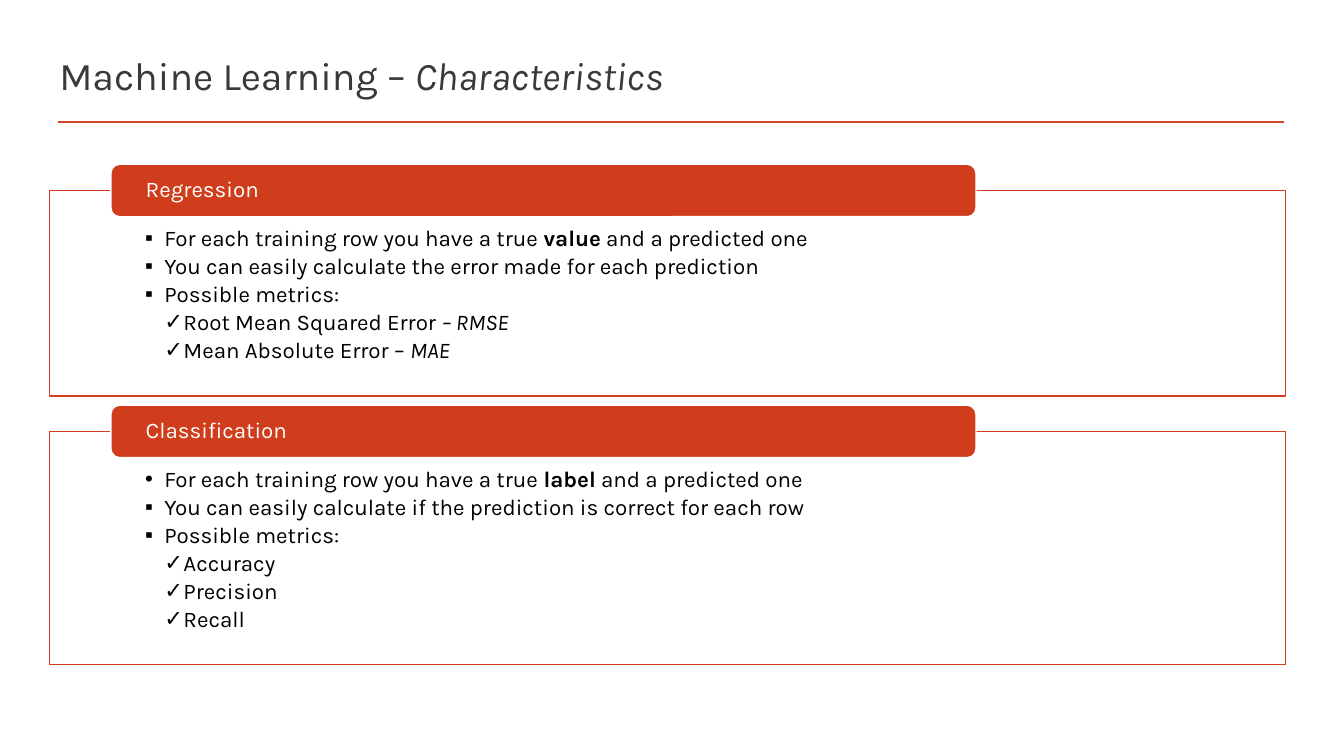
from dataclasses import dataclass

from lxml import etree
from pptx import Presentation
from pptx import util as u
from pptx.dml.color import RGBColor
from pptx.enum import shapes, text
from pptx.oxml import ns

FONT = "Karla"
RED = "CF3D1C"
WHITE = "FFFFFF"
LEFT, WIDTH = 0.49, 12.26
INDENT = 0.19


@dataclass(frozen=True)
class Span:
    words: str
    bold: bool = False
    italic: bool = False


@dataclass(frozen=True)
class Item:
    spans: tuple[Span, ...]
    level: int = 1
    bullet: str = "▪"


@dataclass(frozen=True)
class Section:
    heading: str
    top: float
    height: float
    items: tuple[Item, ...]


def check(*spans: Span) -> Item:
    return Item(spans, 2, "✓")


SECTIONS = (
    Section("Regression", 1.89, 2.04, (
        Item((Span("For each training row you have a true "), Span("value", bold=True),
              Span(" and a predicted one"))),
        Item((Span("You can easily calculate the error made for each prediction"),)),
        Item((Span("Possible metrics:"),)),
        check(Span("Root Mean Squared Error "), Span("– RMSE", italic=True)),
        check(Span("Mean Absolute Error – "), Span("MAE", italic=True)),
    )),
    Section("Classification", 4.28, 2.31, (
        Item((Span("For each training row you have a true "), Span("label", bold=True),
              Span(" and a predicted one")), bullet="•"),
        Item((Span("You can easily calculate if the prediction is correct for each row"),)),
        Item((Span("Possible metrics:"),)),
        check(Span("Accuracy")),
        check(Span("Precision")),
        check(Span("Recall")),
    )),
)


def color(value: str) -> RGBColor:
    return RGBColor.from_string(value)


def write(para, spans: tuple[Span, ...], size: int, ink: str) -> None:
    para.alignment = text.PP_ALIGN.LEFT
    para.line_spacing = 0.9
    para.font.name = FONT
    para.font.size = u.Pt(size)
    para.font.color.rgb = color(ink)
    for part in spans:
        span = para.add_run()
        span.text = part.words
        if part.bold:
            span.font.bold = True
        if part.italic:
            span.font.italic = True


def set_frame(frame, anchor, side: float, top: float = 0, bottom: float = 0) -> None:
    frame.word_wrap = True
    frame.vertical_anchor = anchor
    frame.margin_left = frame.margin_right = u.Inches(side)
    frame.margin_top = u.Inches(top)
    frame.margin_bottom = u.Inches(bottom)


def add_box(page, kind, left: float, top: float, width: float, height: float,
            fill: str, line: str):
    box = page.shapes.add_shape(kind, *map(u.Inches, (left, top, width, height)))
    box.shadow.inherit = False
    box.fill.solid()
    box.fill.fore_color.rgb = color(fill)
    box.line.color.rgb = color(line)
    box.line.width = u.Pt(1)
    return box


def add_bullet(para, item: Item) -> None:
    props = para._p.get_or_add_pPr()
    props.set("marL", str(u.Inches(INDENT * item.level)))
    props.set("indent", str(u.Inches(-INDENT)))
    etree.SubElement(props, ns.qn("a:buFont"), typeface="Arial")
    etree.SubElement(props, ns.qn("a:buChar"), char=item.bullet)


def add_title(page) -> None:
    box = page.shapes.add_textbox(*map(u.Inches, (LEFT, 0.47, WIDTH, 0.61)))
    set_frame(box.text_frame, text.MSO_ANCHOR.MIDDLE, 0.1)
    spans = (Span("Machine Learning – "), Span("Characteristics", italic=True))
    write(box.text_frame.paragraphs[0], spans, 28, "3B3838")

    rule = page.shapes.add_connector(
        shapes.MSO_CONNECTOR.STRAIGHT, *map(u.Inches, (0.58, 1.21, 12.74, 1.21)))
    rule.line.color.rgb = color("D24726")
    rule.line.width = u.Pt(2)
    etree.SubElement(rule._element.spPr, ns.qn("a:effectLst"))


def add_section(page, section: Section) -> None:
    panel = add_box(page, shapes.MSO_SHAPE.RECTANGLE, LEFT, section.top, WIDTH,
                    section.height, WHITE, RED)
    fill = panel._element.spPr.find(ns.qn("a:solidFill"))
    etree.SubElement(fill[0], ns.qn("a:alpha"), val="90000")
    frame = panel.text_frame
    set_frame(frame, text.MSO_ANCHOR.TOP, 0.95, 0.36, 0.12)
    for index, item in enumerate(section.items):
        para = frame.add_paragraph() if index else frame.paragraphs[0]
        para.level = item.level
        para.space_after = u.Pt(2.8)
        add_bullet(para, item)
        write(para, item.spans, 16, "000000")

    header = add_box(page, shapes.MSO_SHAPE.ROUNDED_RECTANGLE, 1.1, section.top - 0.26,
                     8.58, 0.52, RED, WHITE)
    set_frame(header.text_frame, text.MSO_ANCHOR.MIDDLE, 0.32)
    write(header.text_frame.paragraphs[0], (Span(section.heading),), 16, WHITE)


def main() -> None:
    deck = Presentation()
    deck.slide_width = u.Inches(13.33)
    deck.slide_height = u.Inches(7.5)
    page = deck.slides.add_slide(deck.slide_layouts[6])
    add_title(page)
    for section in SECTIONS:
        add_section(page, section)
    deck.save("out.pptx")


if __name__ == "__main__":
    main()
